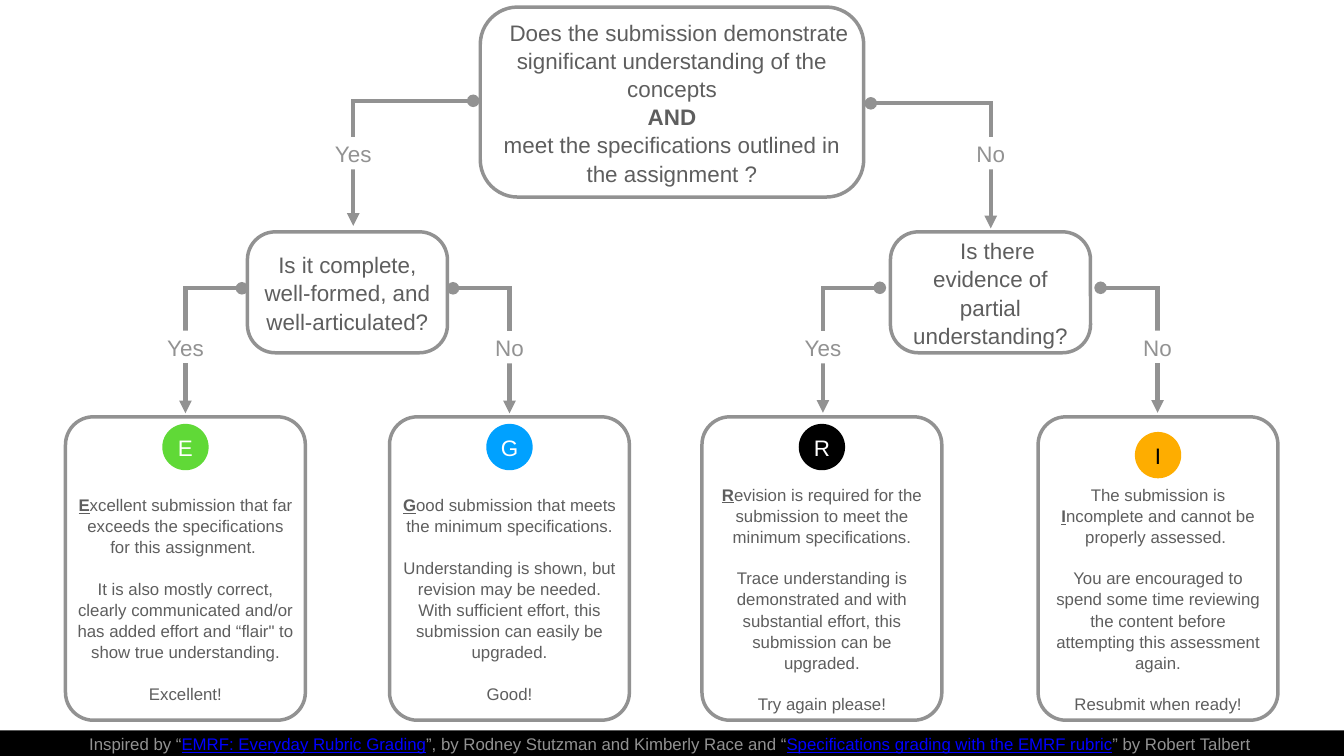
from lxml import etree
from pptx import Presentation
from pptx.dml.color import RGBColor
from pptx.enum.shapes import MSO_SHAPE as Shape
from pptx.enum.text import MSO_ANCHOR as Anchor, PP_ALIGN as Align
from pptx.oxml.ns import qn
from pptx.util import Inches, Pt

WHITE = RGBColor(0xFF, 0xFF, 0xFF)
BLACK = RGBColor(0, 0, 0)
GRAY = RGBColor(0x92, 0x92, 0x92)
DARK_GRAY = RGBColor(0x5E, 0x5E, 0x5E)
GREEN = RGBColor(0x60, 0xD9, 0x37)
BLUE = RGBColor(0x00, 0xA1, 0xFF)
ORANGE = RGBColor(0xFE, 0xAD, 0x00)
LINK_BLUE = RGBColor(0, 0, 0xFF)

FONT = "Arial"
MARGIN = 0.06
LINE_SPACING = 1.05


def add_box(slide, kind, left, top, width, height, fill=None, line=None):
    shape = slide.shapes.add_shape(
        kind, Inches(left), Inches(top), Inches(width), Inches(height))
    shape.shadow.inherit = False
    if fill is None:
        shape.fill.background()
    else:
        shape.fill.solid()
        shape.fill.fore_color.rgb = fill
    if line is None:
        shape.line.fill.background()
    else:
        shape.line.color.rgb = line
        shape.line.width = Pt(5)
    frame = shape.text_frame
    frame.word_wrap = True
    frame.vertical_anchor = Anchor.MIDDLE
    frame.margin_left = frame.margin_right = Inches(MARGIN)
    frame.margin_top = frame.margin_bottom = Inches(MARGIN)
    return shape


def write(shape, lines, size, color, gap=0):
    """Each line is a list of runs: (text, font settings)."""
    frame = shape.text_frame
    for index, runs in enumerate(lines):
        paragraph = frame.add_paragraph() if index else frame.paragraphs[0]
        paragraph.alignment = Align.CENTER
        paragraph.line_spacing = LINE_SPACING
        paragraph.space_before = Pt(gap if index else 0)
        paragraph.font.name = FONT
        paragraph.font.size = Pt(size)
        paragraph.font.color.rgb = color
        for text, style in runs:
            run = paragraph.add_run()
            run.text = text
            run.font.bold = style.get("bold")
            run.font.underline = style.get("underline")
            if "color" in style:
                run.font.color.rgb = style["color"]


def add_question(slide, left, top, width, height, corner, lines, indent=0):
    shape = add_box(slide, Shape.ROUNDED_RECTANGLE, left, top, width, height, line=GRAY)
    shape.adjustments[0] = corner
    write(shape, lines, 32, DARK_GRAY)
    first = shape.text_frame.paragraphs[0]
    first._p.get_or_add_pPr().set("indent", str(Inches(indent)))


def add_branch(slide, start_x, start_y, end_x, label_top, label):
    """Elbow arrow that runs sideways, then down, with its answer on top."""
    drop, label_width, label_height = 2.48, 1.12, 0.64
    builder = slide.shapes.build_freeform(Inches(start_x), Inches(start_y), scale=1.0)
    builder.add_line_segments(
        [(Inches(end_x), Inches(start_y)), (Inches(end_x), Inches(start_y + drop))],
        close=False)
    elbow = builder.convert_to_shape()
    elbow.shadow.inherit = False
    elbow.fill.background()
    elbow.line.color.rgb = GRAY
    elbow.line.width = Pt(6)
    outline = elbow.line._get_or_add_ln()
    etree.SubElement(outline, qn("a:miter"), lim="400000")
    etree.SubElement(outline, qn("a:headEnd"), type="oval")
    etree.SubElement(outline, qn("a:tailEnd"), type="triangle")

    answer = add_box(slide, Shape.RECTANGLE, end_x - label_width / 2, label_top,
                     label_width, label_height, fill=WHITE)
    write(answer, [[(label, {})]], 32, GRAY)


def add_outcome(slide, left, letter, fill, letter_color, badge_offset, lines):
    top, width, height, badge_size = 8.27, 4.76, 6.02, 0.92
    card = add_box(slide, Shape.ROUNDED_RECTANGLE, left, top, width, height, line=GRAY)
    card.adjustments[0] = 0.116
    card.text_frame.margin_top = Inches(1.26)
    write(card, lines, 24, DARK_GRAY, gap=29)

    badge = add_box(slide, Shape.OVAL, left + (width - badge_size) / 2,
                    top + badge_offset, badge_size, badge_size, fill=fill)
    write(badge, [[(letter, {})]], 32, letter_color)


def add_footer(slide):
    link = {"color": LINK_BLUE, "underline": True}
    footer = add_box(slide, Shape.RECTANGLE, 0, 14.49, 26.67, 0.51, fill=BLACK)
    write(footer, [[
        ("Inspired by “", {}),
        ("EMRF: Everyday Rubric Grading", link),
        ("”, by Rodney Stutzman and Kimberly Race and “", {}),
        ("Specifications grading with the EMRF rubric", link),
        ("” by Robert Talbert ", {}),
    ]], 24, GRAY)


presentation = Presentation()
presentation.slide_width = Inches(26.67)
presentation.slide_height = Inches(15)
slide = presentation.slides.add_slide(presentation.slide_layouts[6])

# Questions
add_question(slide, 9.53, 0.14, 7.61, 3.77, 0.197, [
    [("Does the submission demonstrate significant understanding of the concepts", {})],
    [("AND", {"bold": True})],
    [("meet the specifications outlined in the assignment ?", {})],
], indent=0.28)
add_question(slide, 4.91, 4.6, 3.97, 2.4, 0.231, [
    [("Is it complete, well-formed, and well-articulated?", {})]])
add_question(slide, 17.67, 4.6, 3.97, 2.4, 0.231, [
    [("Is there evidence of partial understanding?", {})]], indent=0.28)

# Branches: start x, start y, end x, label top, answer
for branch in [
    (9.39, 2, 7.01, 2.72, "Yes"),
    (17.28, 2.05, 19.66, 2.72, "No"),
    (4.8, 5.72, 3.68, 6.56, "Yes"),
    (8.99, 5.72, 10.11, 6.57, "No"),
    (17.46, 5.71, 16.33, 6.57, "Yes"),
    (21.84, 5.71, 22.97, 6.56, "No"),
]:
    add_branch(slide, *branch)

# Outcomes: left, letter, badge fill, letter colour, badge offset, opening, text
KEY = {"bold": True, "underline": True}
outcomes = [
    (1.3, "E", GREEN, WHITE, 0.14, "",
     ["xcellent submission that far exceeds the specifications for this assignment. ",
      "It is also mostly correct, clearly communicated and/or has added effort "
      "and “flair\" to show true understanding.",
      "Excellent!"]),
    (7.73, "G", BLUE, WHITE, 0.14, "",
     ["ood submission that meets the minimum specifications.",
      "Understanding is shown, but revision may be needed. With sufficient effort, "
      "this submission can easily be upgraded.",
      "Good!"]),
    (13.93, "R", BLACK, WHITE, 0.14, "",
     ["evision is required for the submission to meet the minimum specifications.",
      "Trace understanding is demonstrated and with substantial effort, "
      "this submission can be upgraded.",
      "Try again please!"]),
    (20.6, "I", ORANGE, BLACK, 0.3, "The submission is ",
     ["ncomplete and cannot be properly assessed. ",
      "You are encouraged to spend some time reviewing the content before "
      "attempting this assessment again.",
      "Resubmit when ready!"]),
]
for left, letter, fill, letter_color, offset, opening, (first, *rest) in outcomes:
    lead = [(opening, {})] if opening else []
    lines = [lead + [(letter, KEY), (first, {})]] + [[(text, {})] for text in rest]
    add_outcome(slide, left, letter, fill, letter_color, offset, lines)

# Footer
add_footer(slide)

presentation.save("out.pptx")
